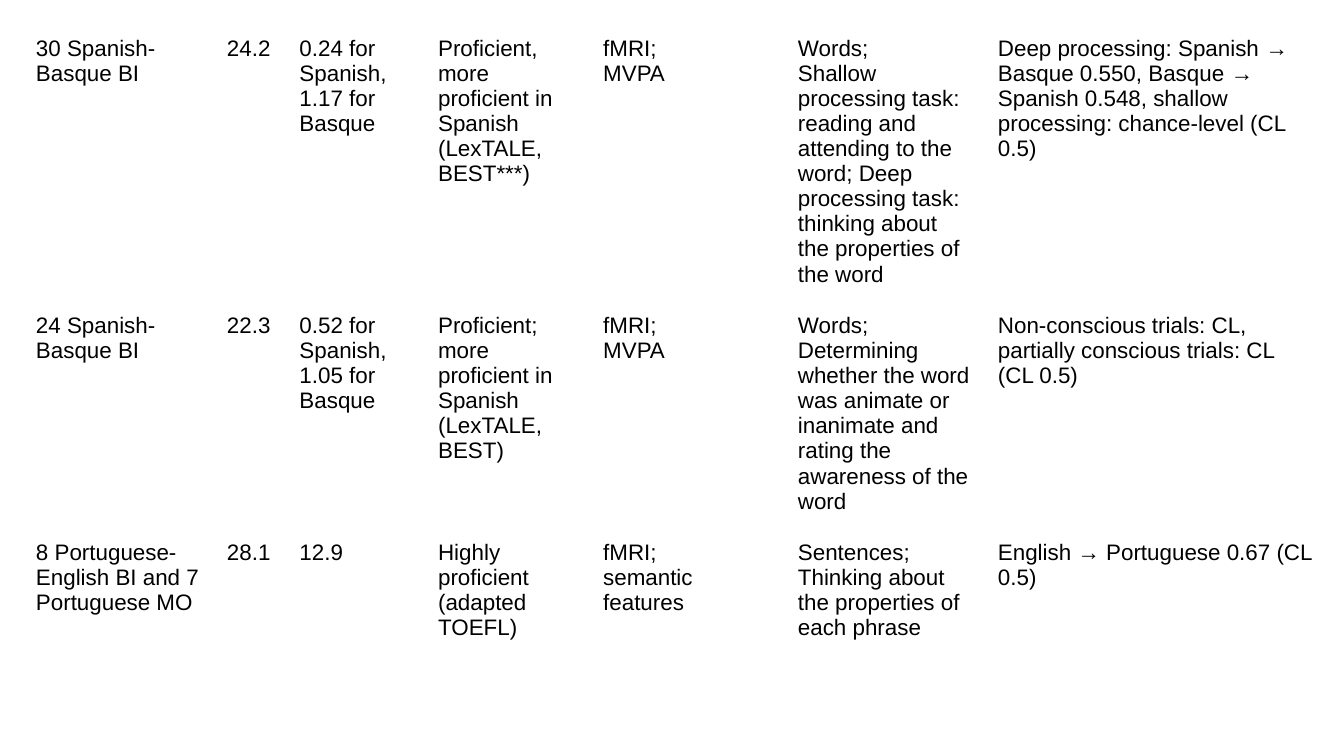
from collections import namedtuple

from pptx import Presentation
from pptx.dml.color import RGBColor
from pptx.util import Cm, Pt

BLACK = RGBColor(0x00, 0x00, 0x00)
ARROW = "→"
TEXT_FORMAT = {"name": "Arial", "size": Pt(12)}
CELL_MARGINS = {
    f"margin_{side}": Cm(0.25) for side in ("left", "right", "top", "bottom")
}
TABLE_FLAGS = {"first_row": False, "horz_banding": False}
COLUMN_WIDTHS = [3.61, 1.37, 2.62, 3.12, 3.68, 3.78, 6.48]
ROW_HEIGHTS = [3.94, 3.28, 1.73]
Box = namedtuple("Box", "left top width height")

STUDIES = [
    [
        "30 Spanish-Basque BI",
        "24.2",
        "0.24 for Spanish, 1.17 for Basque",
        "Proficient, more proficient in Spanish (LexTALE, BEST***)",
        "fMRI;\nMVPA",
        "Words;\nShallow processing task: reading and attending to the word; "
        "Deep processing task: thinking about the properties of the word",
        "Deep processing: Spanish → Basque 0.550, Basque → Spanish 0.548, "
        "shallow processing: chance-level (CL 0.5)",
    ],
    [
        "24 Spanish-Basque BI",
        "22.3",
        "0.52 for Spanish, 1.05 for Basque",
        "Proficient; more proficient in Spanish (LexTALE, BEST)",
        "fMRI;\nMVPA",
        "Words;\nDetermining whether the word was animate or inanimate "
        "and rating the awareness of the word",
        "Non-conscious trials: CL, partially conscious trials: CL (CL 0.5)",
    ],
    [
        "8 Portuguese-English BI and 7 Portuguese MO",
        "28.1",
        "12.9",
        "Highly proficient (adapted TOEFL)",
        "fMRI;\nsemantic features",
        "Sentences;\nThinking about the properties of each phrase",
        "English → Portuguese 0.67 (CL 0.5)",
    ],
]


def apply_format(target, values):
    """Set each attribute of the target from a dict of values."""
    for name, value in values.items():
        setattr(target, name, value)


def add_span(para, text, bold=False):
    """Add one formatted run to a paragraph."""
    span = para.add_run()
    span.text = text
    apply_format(span.font, {**TEXT_FORMAT, "bold": bold})
    span.font.color.rgb = BLACK


def fill_cell(cell, text):
    """Write a cell's paragraphs, with bold arrows, on a clear ground."""
    cell.fill.background()
    apply_format(cell, CELL_MARGINS)
    frame = cell.text_frame
    for index, line in enumerate(text.split("\n")):
        para = frame.add_paragraph() if index else frame.paragraphs[0]
        for position, part in enumerate(line.split(ARROW)):
            if position:
                add_span(para, ARROW, bold=True)
            add_span(para, part)


def add_study_table(page, box):
    """Place the table of studies, scaled to the given box."""
    table = page.shapes.add_table(
        len(STUDIES), len(COLUMN_WIDTHS), *(Cm(length) for length in box)
    ).table
    apply_format(table, TABLE_FLAGS)
    for column, width in zip(table.columns, COLUMN_WIDTHS):
        column.width = Cm(width * box.width / sum(COLUMN_WIDTHS))
    for row, height, study in zip(table.rows, ROW_HEIGHTS, STUDIES):
        row.height = Cm(height * box.height / sum(ROW_HEIGHTS))
        for cell, text in zip(row.cells, study):
            fill_cell(cell, text)


def main():
    """Build the deck and save it."""
    deck = Presentation()
    deck.slide_width, deck.slide_height = Cm(25.4), Cm(14.29)
    page = deck.slides.add_slide(deck.slide_layouts[6])
    box = Box(0.43, 0.43, sum(COLUMN_WIDTHS), sum(ROW_HEIGHTS))
    add_study_table(page, box)
    deck.save("out.pptx")


if __name__ == "__main__":
    main()
